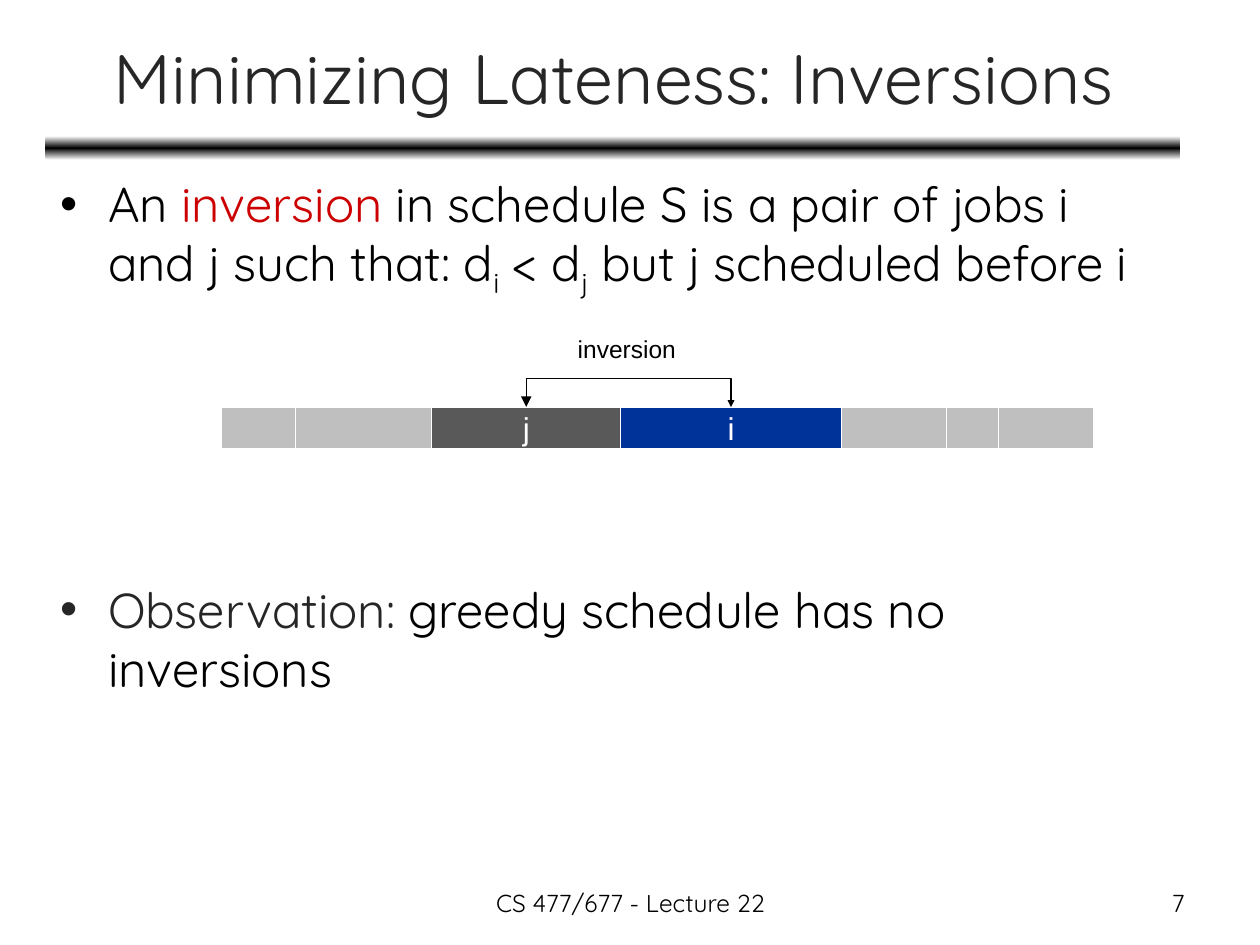
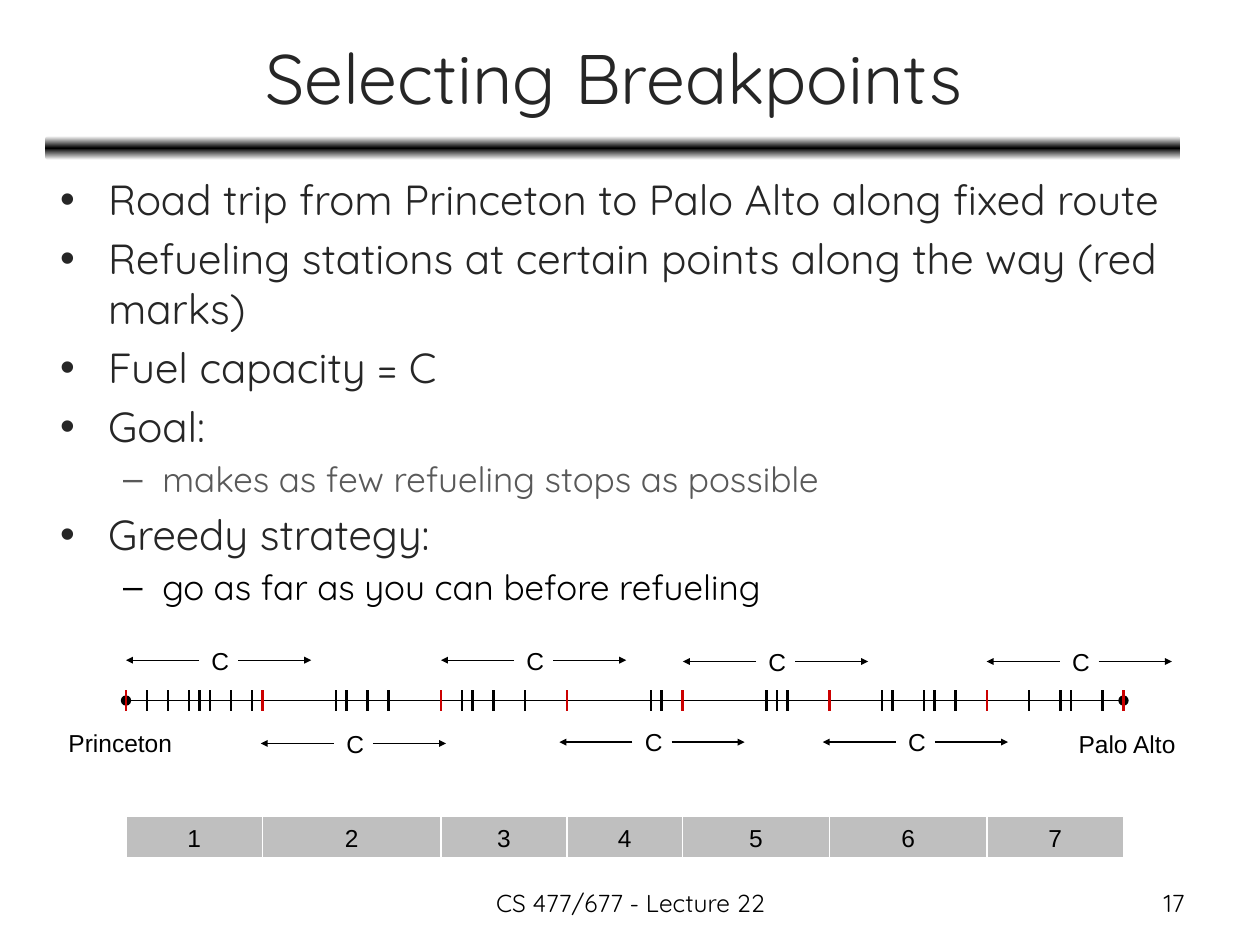
from copy import deepcopy
from itertools import accumulate

from lxml import etree
from pptx import Presentation
from pptx.dml.color import RGBColor
from pptx.enum.shapes import MSO_CONNECTOR, MSO_SHAPE
from pptx.enum.text import MSO_ANCHOR, PP_ALIGN
from pptx.oxml.ns import qn
from pptx.util import Emu, Inches, Pt

BLACK = RGBColor(0x00, 0x00, 0x00)
WHITE = RGBColor(0xFF, 0xFF, 0xFF)
INK = RGBColor(0x26, 0x26, 0x26)
GRAY = RGBColor(0x59, 0x59, 0x59)
SILVER = RGBColor(0xBF, 0xBF, 0xBF)
RED = RGBColor(0xCC, 0x00, 0x00)
BLUE = RGBColor(0x00, 0x33, 0x99)

FOOTER = "CS 477/677 - Lecture 22"
BULLETS = [("•", 0.38, 0.38), ("–", 0.81, 0.31)]
UNIT = 1 / 12

INVERSIONS = {
    "title": "Minimizing Lateness: Inversions",
    "number": "7",
    "width": 9,
    "body": [
        (0, 28, 0, [("An ", BLACK, 0), ("inversion", RED, 0),
                    (" in schedule S is a pair of jobs i and j such that: d", BLACK, 0),
                    ("i", BLACK, -25), (" < d", BLACK, 0), ("j", BLACK, -25),
                    (" but j scheduled before i", BLACK, 0)]),
        (0, 28, 160, [("Observation: ", INK, 0),
                      ("greedy schedule has no inversions", BLACK, 0)]),
    ],
}
JOBS = [(7, "", SILVER), (13, "", SILVER), (18, "j", GRAY), (21, "i", BLUE),
        (10, "", SILVER), (5, "", SILVER), (9, "", SILVER)]

BREAKPOINTS = {
    "title": "Selecting Breakpoints",
    "number": "17",
    "width": 9.36,
    "body": [
        (0, 24, 0, [("Road trip from Princeton to Palo Alto along fixed route", INK, 0)]),
        (0, 24, 4.8, [("Refueling stations at certain points along the way (red marks)", INK, 0)]),
        (0, 24, 4.8, [("Fuel capacity = C", INK, 0)]),
        (0, 24, 4.8, [("Goal:", INK, 0)]),
        (1, 20, 4, [("makes as few refueling stops as possible", GRAY, 0)]),
        (0, 24, 4.8, [("Greedy strategy:", INK, 0)]),
        (1, 20, 4, [("go as far as you can before refueling", BLACK, 0)]),
    ],
}
STOPS = [0, 13, 30, 42, 53, 67, 82, 95]
STATIONS = [2, 4, 6, 7, 8, 10, 12, 20, 21, 23, 25, 32, 33, 35, 38, 50, 51, 61, 62, 63,
            72, 73, 76, 77, 79, 86, 89, 90, 93]
RANGES = [(1, 5.24), (2.07, 5.9), (3.5, 5.24), (4.44, 5.89), (5.42, 5.25),
          (6.53, 5.89), (7.83, 5.25)]
PLACES = [("Princeton", 0.43, 5.71, 1.05), ("Palo Alto", 8.44, 5.72, 1.01)]
ROAD_LEFT, ROAD_Y = 1, 5.56


def add_run(p, text, size, color, font, base=0):
    r = p.add_run()
    r.text = text
    for name, value in {"size": Pt(size), "name": font}.items():
        setattr(r.font, name, value)
    r.font.color.rgb = color
    if base:
        r.font._element.set("baseline", str(base * 1000))


def set_text(sp, text, size=14, color=BLACK, font="Arial", align=PP_ALIGN.CENTER,
             anchor=MSO_ANCHOR.MIDDLE, wrap=False):
    tf = sp.text_frame
    for name, value in {"word_wrap": wrap, "vertical_anchor": anchor}.items():
        setattr(tf, name, value)
    p = tf.paragraphs[0]
    p.alignment = align
    add_run(p, text, size, color, font)


def add_text(shapes, box, text, **look):
    sp = shapes.add_textbox(*map(Inches, box))
    set_text(sp, text, **look)
    return sp


def add_line(shapes, start, end, color=BLACK, width=0.75, kind=MSO_CONNECTOR.STRAIGHT, **ends):
    c = shapes.add_connector(kind, *map(Inches, (*start, *end)))
    c.line.color.rgb = color
    c.line.width = Pt(width)
    ln = c.line._get_or_add_ln()
    for side in ("headEnd", "tailEnd"):
        if side in ends:
            shape, size = ends[side]
            etree.SubElement(ln, qn(f"a:{side}"), type=shape, w=size, len=size)
    etree.SubElement(c.element.spPr, qn("a:effectLst"))
    return c


def add_band(s):
    sp = s.shapes.add_shape(MSO_SHAPE.ROUNDED_RECTANGLE, *map(Inches, (0.36, 1.08, 9.01, 0.19)))
    sp.shadow.inherit = False
    sp.line.fill.background()
    sp.fill.gradient()
    sp.fill.gradient_angle = 90
    stops = sp.element.spPr.find(f".//{qn('a:gsLst')}")
    stops.insert(1, deepcopy(stops[0]))
    for stop, position, color in zip(sp.fill.gradient_stops, (0, 0.5, 1), (WHITE, BLACK, WHITE)):
        stop.position = position
        stop.color.rgb = color


def add_body(s, width, paragraphs):
    tf = s.shapes.add_textbox(*map(Inches, (0.38, 1.33, width, 5.55))).text_frame
    tf.word_wrap = True
    for i, (level, size, before, runs) in enumerate(paragraphs):
        p = tf.add_paragraph() if i else tf.paragraphs[0]
        mark, margin, hang = BULLETS[level]
        p.level = level
        p.space_before = Pt(before)
        pPr = p._p.get_or_add_pPr()
        pPr.set("marL", str(Inches(margin)))
        pPr.set("indent", str(-Inches(hang)))
        etree.SubElement(pPr, qn("a:buFont"), typeface="Arial")
        etree.SubElement(pPr, qn("a:buChar"), char=mark)
        for text, color, base in runs:
            add_run(p, text, size, color, "Quicksand", base)


def add_page(prs, page):
    s = prs.slides.add_slide(prs.slide_layouts[6])
    add_band(s)
    frame = {"font": "Quicksand", "wrap": True}
    add_text(s.shapes, (0.37, 0.11, 9, 0.99), page["title"], size=40, color=INK, **frame)
    add_body(s, page["width"], page["body"])
    frame["anchor"] = MSO_ANCHOR.TOP
    add_text(s.shapes, (3.42, 7, 3.17, 0.35), FOOTER, **frame)
    add_text(s.shapes, (7.17, 7, 2.33, 0.35), page["number"], align=PP_ALIGN.RIGHT, **frame)
    return s


def add_bar(s, left, top, segments, **look):
    starts = accumulate((units for units, _, _ in segments), initial=0)
    bar = []
    for start, (units, label, fill) in zip(starts, segments):
        box = (left + start * UNIT, top, units * UNIT, 0.33)
        sp = s.shapes.add_shape(MSO_SHAPE.RECTANGLE, *map(Inches, box))
        sp.shadow.inherit = False
        sp.fill.solid()
        sp.fill.fore_color.rgb = fill
        sp.line.color.rgb = WHITE
        sp.line.width = Pt(0.75)
        if label:
            set_text(sp, label, **look)
        bar.append(sp)
    return bar


def add_inversion_link(s, job_j, job_i):
    c = add_line(s.shapes, (0, 0), (1, 1), kind=MSO_CONNECTOR.ELBOW,
                 headEnd=("triangle", "med"), tailEnd=("triangle", "sm"))
    c.begin_connect(job_j, 0)
    c.end_connect(job_i, 0)
    x1, x2 = (sp.left + sp.width // 2 for sp in (job_j, job_i))
    depth, rise = Emu(1588), Inches(0.25)
    span = x2 - x1
    place = {"left": (x1 + x2 - depth) // 2, "top": job_j.top - span // 2,
             "width": depth, "height": span}
    for name, value in place.items():
        setattr(c, name, Emu(value))
    xfrm = c.element.spPr.find(qn("a:xfrm"))
    xfrm.set("rot", "5400000")
    xfrm.set("flipV", "1")
    geom = c.element.spPr.find(qn("a:prstGeom"))
    guides = geom.find(qn("a:avLst"))
    if guides is None:
        guides = etree.SubElement(geom, qn("a:avLst"))
    etree.SubElement(guides, qn("a:gd"), name="adj1", fmla=f"val {-rise * 100000 // depth}")


def add_range(s, left, y):
    shapes = s.shapes.add_group_shape().shapes
    arrow, gap = 0.58, 0.31
    label = add_text(shapes, (left + arrow, y - 0.19, gap, 0.38), "C")
    for start, end, side in [(left + arrow + gap, left + 2 * arrow + gap, 3),
                             (left + arrow, left, 1)]:
        c = add_line(shapes, (start, y), (end, y), tailEnd=("triangle", "sm"))
        c.begin_connect(label, side)


def build_inversions(prs):
    s = add_page(prs, INVERSIONS)
    bar = add_bar(s, 1.76, 3.23, JOBS, size=18, color=WHITE)
    add_text(s.shapes, (4.1, 2.6, 1.75, 0.37), "inversion", anchor=MSO_ANCHOR.TOP, wrap=True)
    add_inversion_link(s, bar[2], bar[3])


def build_breakpoints(prs):
    s = add_page(prs, BREAKPOINTS)
    road_right = ROAD_LEFT + STOPS[-1] * UNIT
    oval = ("oval", "med")
    add_line(s.shapes, (ROAD_LEFT, ROAD_Y), (road_right, ROAD_Y), headEnd=oval, tailEnd=oval)
    for name, left, top, width in PLACES:
        add_text(s.shapes, (left, top, width, 0.37), name)
    legs = [(b - a, str(i), SILVER) for i, (a, b) in enumerate(zip(STOPS, STOPS[1:]), 1)]
    add_bar(s, ROAD_LEFT, 6.48, legs)
    for left, y in RANGES:
        add_range(s, left, y)
    for marks, color in ((STATIONS, BLACK), (STOPS, RED)):
        for mark in marks:
            x = ROAD_LEFT + mark * UNIT
            add_line(s.shapes, (x, ROAD_Y - 0.08), (x, ROAD_Y + 0.08), color, 1.25)


def main():
    prs = Presentation()
    prs.slide_width, prs.slide_height = Inches(10), Inches(7.5)
    build_inversions(prs)
    build_breakpoints(prs)
    prs.save("out.pptx")


if __name__ == "__main__":
    main()
